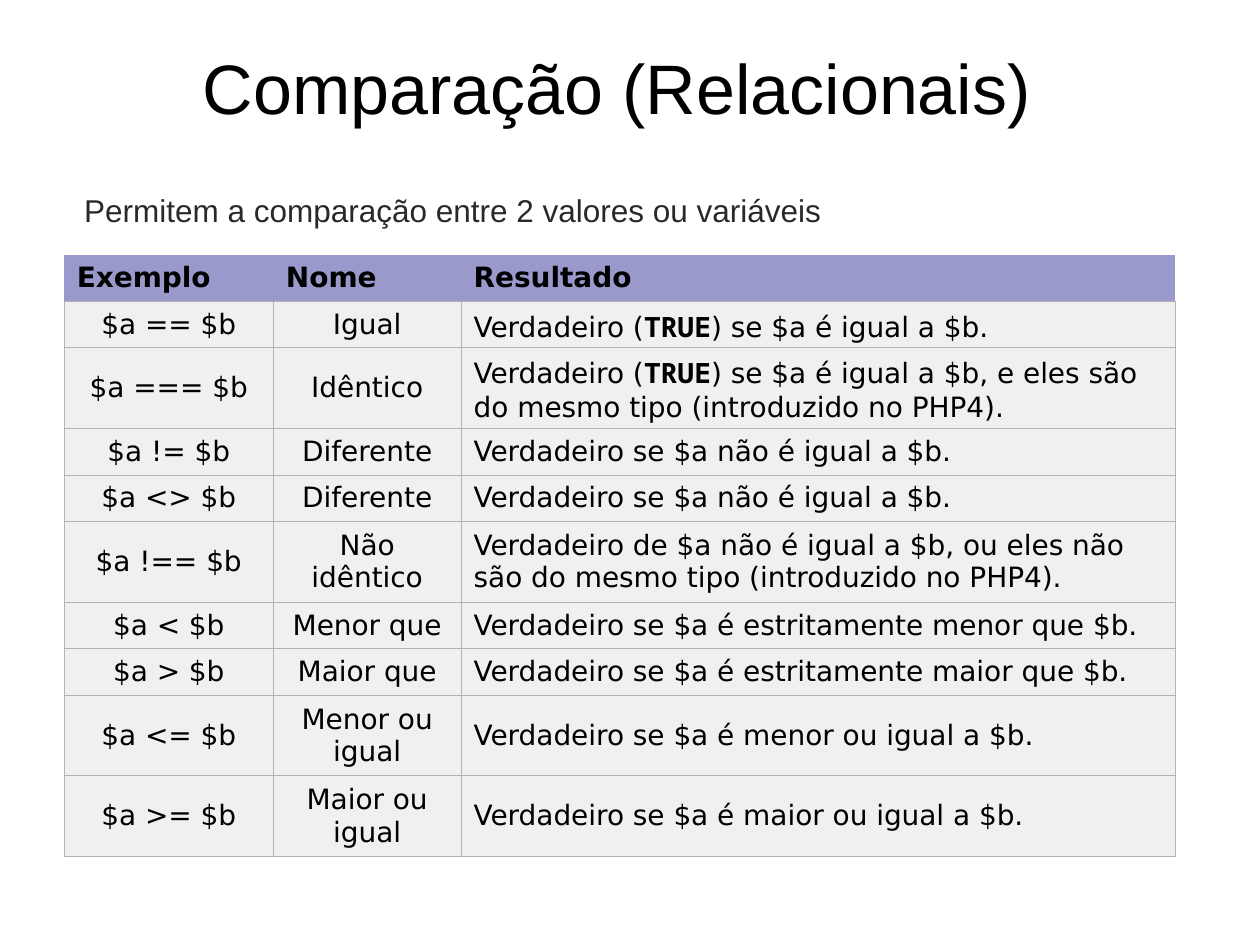
from dataclasses import dataclass

from lxml import etree
from pptx import Presentation
from pptx.dml.color import RGBColor
from pptx.enum.text import MSO_ANCHOR, MSO_AUTO_SIZE, PP_ALIGN
from pptx.oxml.ns import qn
from pptx.util import Inches, Pt

LEFT, CENTER = PP_ALIGN.LEFT, PP_ALIGN.CENTER
MIDDLE, BOTTOM = MSO_ANCHOR.MIDDLE, MSO_ANCHOR.BOTTOM
FIT_TEXT = MSO_AUTO_SIZE.SHAPE_TO_FIT_TEXT


@dataclass(frozen=True)
class Theme:
    ink: str = "000000"
    muted: str = "292929"
    header: str = "9999CC"
    body: str = "F0F0F0"
    border: str = "B2B2B2"
    border_width: float = 0.45
    heading_font: str = "Arial"
    table_font: str = "DejaVu Sans"
    code_font: str = "Noto Sans Mono"
    title_size: int = 40
    lead_size: int = 18
    table_size: int = 16


THEME = Theme()
KEYWORD = "TRUE"
COLUMN_WIDTHS = (1.66, 1.49, 5.67)
SINGLE_ROW, DOUBLE_ROW = 0.37, 0.64
HEADINGS = ("Exemplo", "Nome", "Resultado")
OPERATORS = (
    ("$a == $b", "Igual", "Verdadeiro (TRUE) se $a é igual a $b.", SINGLE_ROW),
    ("$a === $b", "Idêntico",
     "Verdadeiro (TRUE) se $a é igual a $b, e eles são do mesmo tipo (introduzido no PHP4).",
     DOUBLE_ROW),
    ("$a != $b", "Diferente", "Verdadeiro se $a não é igual a $b.", SINGLE_ROW),
    ("$a <> $b", "Diferente", "Verdadeiro se $a não é igual a $b.", SINGLE_ROW),
    ("$a !== $b", "Não idêntico",
     "Verdadeiro de $a não é igual a $b, ou eles não são do mesmo tipo (introduzido no PHP4).",
     DOUBLE_ROW),
    ("$a < $b", "Menor que", "Verdadeiro se $a é estritamente menor que $b.", SINGLE_ROW),
    ("$a > $b", "Maior que", "Verdadeiro se $a é estritamente maior que $b.", SINGLE_ROW),
    ("$a <= $b", "Menor ou igual", "Verdadeiro se $a é menor ou igual a $b.", DOUBLE_ROW),
    ("$a >= $b", "Maior ou igual", "Verdadeiro se $a é maior ou igual a $b.", DOUBLE_ROW),
)


def style_para(para, font, size, color, align=LEFT, bold=False):
    para.alignment = align
    para.font.name = font
    para.font.size = Pt(size)
    para.font.color.rgb = RGBColor.from_string(color)
    para.font.bold = bold


def add_title(page, box, text):
    frame = page.shapes.add_textbox(*map(Inches, box)).text_frame
    frame.word_wrap = True
    frame.vertical_anchor = BOTTOM
    frame.text = text
    style_para(frame.paragraphs[0], THEME.heading_font, THEME.title_size, THEME.ink, CENTER)


def add_lead(page, box, text):
    frame = page.shapes.add_textbox(*map(Inches, box)).text_frame
    frame.word_wrap = False
    frame.auto_size = FIT_TEXT
    frame.text = text
    style_para(frame.paragraphs[0], THEME.heading_font, THEME.lead_size, THEME.muted)


def set_borders(cell, visible_sides):
    properties = cell._tc.get_or_add_tcPr()
    for side in "LRTB":
        line = etree.SubElement(properties, qn(f"a:ln{side}"), w=str(Pt(THEME.border_width)))
        if side in visible_sides:
            fill = etree.SubElement(line, qn("a:solidFill"))
            etree.SubElement(fill, qn("a:srgbClr"), val=THEME.border)
        else:
            etree.SubElement(line, qn("a:noFill"))


def fill_cell(cell, text, color, sides, align=LEFT, bold=False):
    set_borders(cell, sides)
    cell.fill.solid()
    cell.fill.fore_color.rgb = RGBColor.from_string(color)
    cell.vertical_anchor = MIDDLE
    para = cell.text_frame.paragraphs[0]
    style_para(para, THEME.table_font, THEME.table_size, THEME.ink, align, bold)
    for part in filter(None, text.partition(KEYWORD)):
        span = para.add_run()
        span.text = part
        if part == KEYWORD:
            span.font.name = THEME.code_font
            span.font.bold = True


def add_operator_table(page, box):
    frame = page.shapes.add_table(len(OPERATORS) + 1, len(HEADINGS), *map(Inches, box))
    table = frame.table
    table.first_row = False
    table.horz_banding = False
    for column, width in zip(table.columns, COLUMN_WIDTHS):
        column.width = Inches(width)
    table.rows[0].height = Inches(SINGLE_ROW)
    for cell, heading in zip(table.rows[0].cells, HEADINGS):
        fill_cell(cell, heading, THEME.header, "B", bold=True)
    for index, (*texts, height) in enumerate(OPERATORS, start=1):
        row = table.rows[index]
        row.height = Inches(height)
        for cell, text, align in zip(row.cells, texts, (CENTER, CENTER, LEFT)):
            fill_cell(cell, text, THEME.body, "LRTB", align)


def main():
    deck = Presentation()
    deck.slide_width, deck.slide_height = Inches(10), Inches(7.5)
    page = deck.slides.add_slide(deck.slide_layouts[6])
    add_title(page, (0.98, 0.05, 7.83, 1.02), "Comparação (Relacionais)")
    add_operator_table(page, (0.51, 2.02, 8.82, 4.73))
    add_lead(page, (0.57, 1.47, 6.05, 0.4), "Permitem a comparação entre 2 valores ou variáveis")
    deck.save("out.pptx")


if __name__ == "__main__":
    main()
